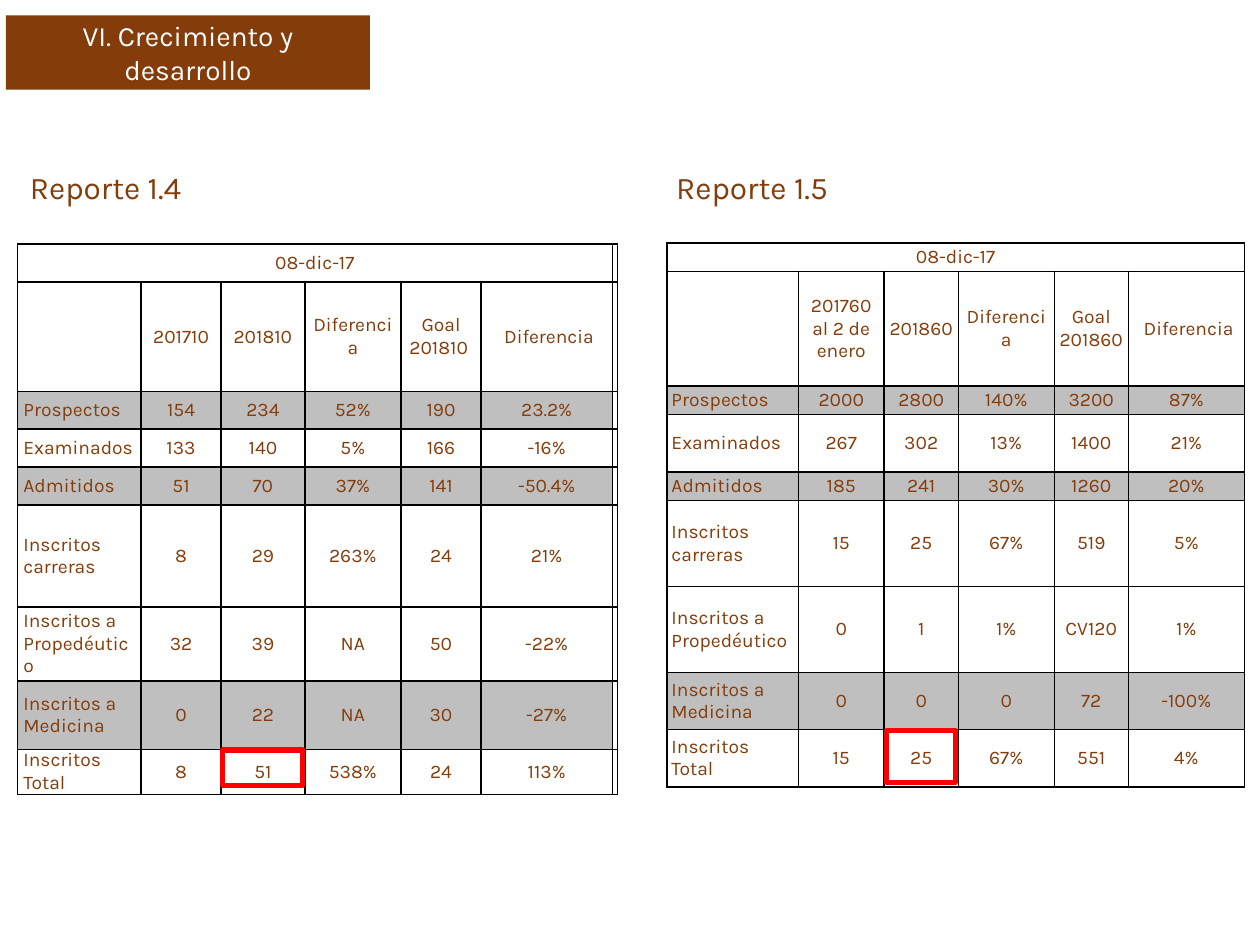
from lxml.etree import SubElement
from pptx import Presentation
from pptx.dml.color import RGBColor
from pptx.enum.shapes import MSO_SHAPE
from pptx.enum.text import MSO_ANCHOR, MSO_AUTO_SIZE, PP_ALIGN
from pptx.oxml.ns import qn
from pptx.util import Pt

COLORS = {
    "brown": "843C0B",
    "white": "FFFFFF",
    "band": "BFBFBF",
    "border": "000000",
    "highlight": "FF0000",
}


def color(name):
    return RGBColor.from_string(COLORS[name])


class SlideBuilder:
    """Holds the style and the current slide."""

    font_name = "Karla"
    table_size = 11

    def __init__(self, slide):
        self.slide = slide

    def style(self, paragraph, size, color_name, align=PP_ALIGN.LEFT):
        paragraph.alignment = align
        paragraph.font.name = self.font_name
        paragraph.font.size = Pt(size)
        paragraph.font.color.rgb = color(color_name)

    def rectangle(self, left, top, width, height):
        shape = self.slide.shapes.add_shape(
            MSO_SHAPE.RECTANGLE, Pt(left), Pt(top), Pt(width), Pt(height))
        shape.shadow.inherit = False
        return shape

    def banner(self, text, left, top, width, height):
        shape = self.rectangle(left, top, width, height)
        shape.fill.solid()
        shape.fill.fore_color.rgb = color("brown")
        shape.line.fill.background()
        frame = shape.text_frame
        frame.word_wrap = True
        frame.vertical_anchor = MSO_ANCHOR.MIDDLE
        paragraph = frame.paragraphs[0]
        paragraph.text = text
        self.style(paragraph, 16, "white", PP_ALIGN.CENTER)

    def highlight(self, left, top, width, height):
        shape = self.rectangle(left, top, width, height)
        shape.fill.background()
        shape.line.color.rgb = color("highlight")
        shape.line.width = Pt(3)

    def heading(self, text, left, top, width, height):
        box = self.slide.shapes.add_textbox(Pt(left), Pt(top), Pt(width), Pt(height))
        frame = box.text_frame
        frame.word_wrap = True
        frame.auto_size = MSO_AUTO_SIZE.SHAPE_TO_FIT_TEXT
        paragraph = frame.paragraphs[0]
        paragraph.text = text
        self.style(paragraph, 18, "brown")

    def borders(self, cell):
        properties = cell._tc.get_or_add_tcPr()
        for side in ("a:lnL", "a:lnR", "a:lnT", "a:lnB"):
            line = SubElement(properties, qn(side), w=str(Pt(1)))
            fill = SubElement(line, qn("a:solidFill"))
            SubElement(fill, qn("a:srgbClr"), val=COLORS["border"])

    def cell(self, cell, text, margin, align, banded):
        self.borders(cell)
        if banded:
            cell.fill.solid()
            cell.fill.fore_color.rgb = color("band")
        else:
            cell.fill.background()
        cell.vertical_anchor = MSO_ANCHOR.MIDDLE
        cell.margin_left = cell.margin_right = Pt(margin if text else 0)
        cell.margin_top = cell.margin_bottom = 0
        paragraph = cell.text_frame.paragraphs[0]
        if text:
            paragraph.text = text
        else:
            # An empty cell takes its height from the end mark
            SubElement(paragraph._p, qn("a:endParaRPr"), sz=str(self.table_size * 100))
        self.style(paragraph, self.table_size, "brown", align)

    def table(self, left, top, widths, heights, rows, margin):
        frame = self.slide.shapes.add_table(
            len(heights), len(widths), Pt(left), Pt(top),
            Pt(sum(widths)), Pt(sum(heights)))
        table = frame.table
        table.first_row = table.horz_banding = False
        for column, width in zip(table.columns, widths):
            column.width = Pt(width)
        for row, height in zip(table.rows, heights):
            row.height = Pt(height)
        data_columns = len(rows[1])
        for r, texts in enumerate(rows):
            for c in range(len(widths)):
                text = texts[c] if c < len(texts) else ""
                align = PP_ALIGN.LEFT if c == 0 and r > 0 else PP_ALIGN.CENTER
                banded = r in BANDED_ROWS and c < data_columns
                self.cell(table.cell(r, c), text, margin, align, banded)
        table.cell(0, 0).merge(table.cell(0, data_columns - 1))


BANDED_ROWS = (2, 4, 7)
DATE = "08-dic-17"
ROW_LABELS = [
    "Prospectos", "Examinados", "Admitidos", "Inscritos carreras",
    "Inscritos a\nPropedéutico", "Inscritos a Medicina", "Inscritos Total",
]


def report_rows(headers, values):
    body = [[label, *row] for label, row in zip(ROW_LABELS, values)]
    return [[DATE], ["", *headers], *body]


REPORT_14 = report_rows(
    ["201710", "201810", "Diferencia", "Goal 201810 ", " Diferencia"],
    [
        ["154", "234", "52%", "190", "23.2%"],
        ["133", "140", "5%", "166", "-16%"],
        ["51", "70", "37%", "141", "-50.4%"],
        ["8", "29", "263%", "24", "21%"],
        ["32", "39", "NA", "50", "-22%"],
        ["0", "22", "NA", "30", "-27%"],
        ["8", "51", "538%", "24", "113%"],
    ])
REPORT_15 = report_rows(
    ["201760\nal 2 de enero", "201860", "Diferencia", "Goal 201860 ", " Diferencia"],
    [
        ["2000", "2800", "140%", "3200", "87%"],
        ["267", "302", "13%", "1400", "21%"],
        ["185", "241", "30%", "1260", "20%"],
        ["15", "25", "67%", "519", "5%"],
        ["0", "1", "1%", "CV120", "1%"],
        ["0", "0", "0", "72", "-100%"],
        ["15", "25", "67%", "551", "4%"],
    ])


def main():
    presentation = Presentation()
    presentation.slide_width, presentation.slide_height = Pt(720), Pt(540)
    builder = SlideBuilder(presentation.slides.add_slide(presentation.slide_layouts[6]))

    # Section title
    builder.banner("VI. Crecimiento y desarrollo", 3.4, 8.8, 208, 42.5)

    # Report tables; the rows of 1.5 are multiples of one line height
    line_height = 16.36
    line_counts = (1, 4, 1, 2, 1, 3, 3, 2, 2)
    builder.table(381, 138.8, [75.2, 49.1, 42.3, 54.9, 42.3, 66.4],
                  [line_height * count for count in line_counts], REPORT_15, 2.7)
    builder.table(10, 139.5, [70.6, 45.8, 47.8, 55, 45.8, 75, 2.5],
                  [21.6, 62.6, 21.6, 21.6, 21.6, 58.3, 42.5, 38.9, 21.6],
                  REPORT_14, 3.4)

    # Highlighted totals
    builder.highlight(127.3, 428.6, 45.7, 20.2)
    builder.highlight(506.4, 417.6, 39.6, 29.5)

    # Report headings
    builder.heading("Reporte 1.4", 10, 92.3, 271.4, 29)
    builder.heading("Reporte 1.5", 379.3, 92.5, 271.4, 29)

    presentation.save("out.pptx")


if __name__ == "__main__":
    main()
